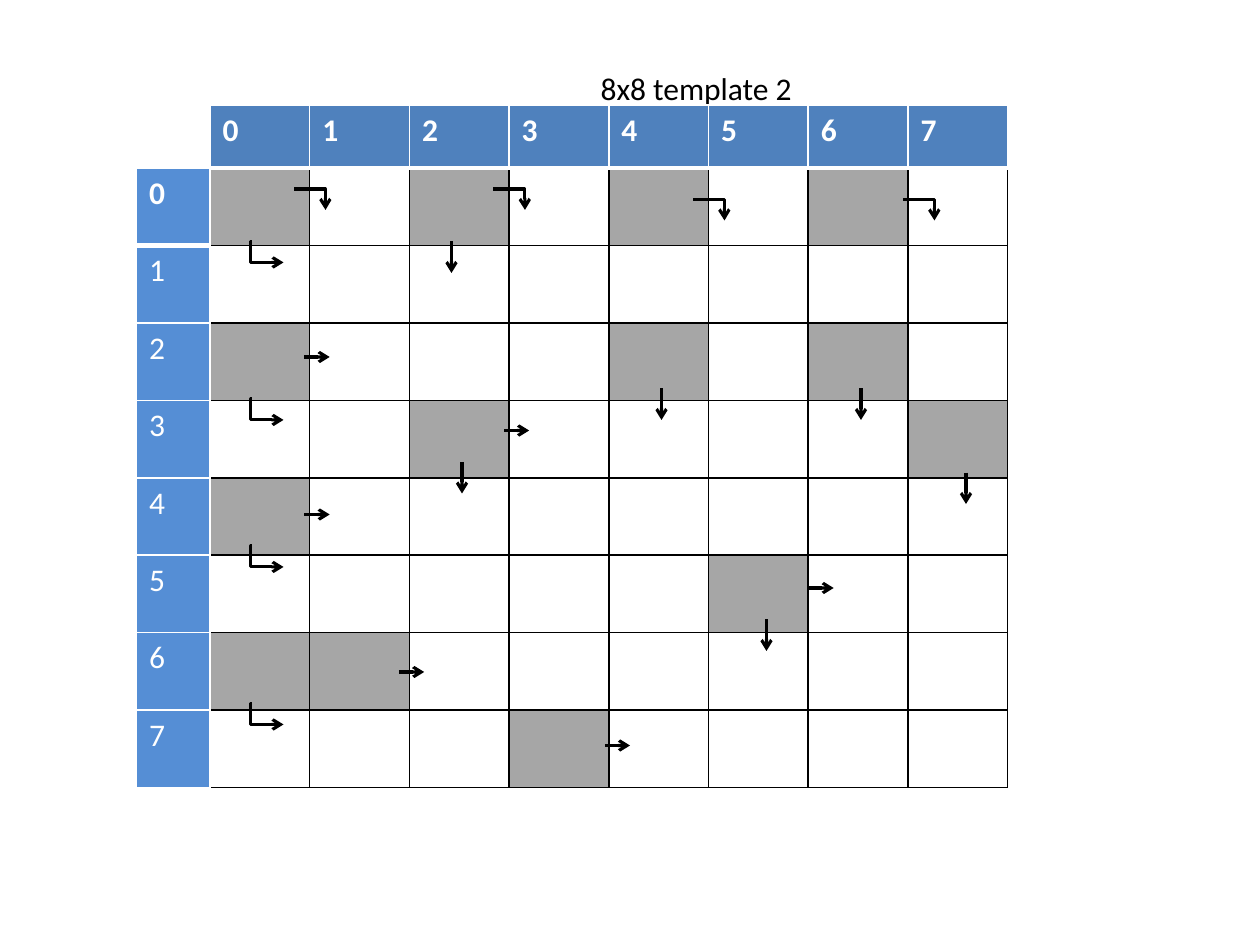
import dataclasses
import typing

import pptx
import pptx.dml.color
import pptx.enum.shapes
import pptx.enum.text
import pptx.oxml
import pptx.oxml.ns
import pptx.util

BLACK = pptx.dml.color.RGBColor(0x00, 0x00, 0x00)
WHITE = pptx.dml.color.RGBColor(0xFF, 0xFF, 0xFF)
GRAY = pptx.dml.color.RGBColor(0xA6, 0xA6, 0xA6)
NAVY = pptx.dml.color.RGBColor(0x4F, 0x81, 0xBD)
BLUE = pptx.dml.color.RGBColor(0x55, 0x8E, 0xD5)

FONT = {"name": "Calibri", "size": pptx.util.Pt(18)}
SIZE = 8
STEP = 2.54 / 12  # the layout grid, in cm

# Shaded (row, column) cells of the template
SHADED = {(0, 0), (0, 2), (0, 4), (0, 6), (2, 0), (2, 4), (2, 6), (3, 2),
          (3, 7), (4, 0), (5, 5), (6, 0), (6, 1), (7, 3)}


class Cell(typing.NamedTuple):
    """Text and fill of one table cell."""
    text: str
    fill: pptx.dml.color.RGBColor
    bold: bool = False


@dataclasses.dataclass(frozen=True)
class Grid:
    """A table: place in grid steps, cells, and border format."""
    left: float
    top: float
    width: float
    height: float
    cells: list[list[Cell]]
    edge: pptx.dml.color.RGBColor
    rule: int  # points under the first row


@dataclasses.dataclass(frozen=True)
class Arrow:
    """A kind of arrow: extent in grid steps, bend, and start points."""
    width: float
    height: float
    starts: list[tuple[float, float]]
    bend: int | None = None


def steps(count: float) -> pptx.util.Length:
    """Turn grid steps into a length."""
    return pptx.util.Cm(count * STEP)


def style(font: typing.Any, color: pptx.dml.color.RGBColor, **extra: typing.Any) -> None:
    """Apply the common font format, a colour and any extras."""
    for key, value in {**FONT, **extra}.items():
        setattr(font, key, value)
    font.color.rgb = color


def border(cell: typing.Any, side: str, color: pptx.dml.color.RGBColor, points: int) -> None:
    """Draw one border of a cell."""
    cell._tc.get_or_add_tcPr().append(pptx.oxml.parse_xml(
        f'<a:ln{side} {pptx.oxml.ns.nsdecls("a")} w="{pptx.util.Pt(points)}">'
        f'<a:solidFill><a:srgbClr val="{color}"/></a:solidFill></a:ln{side}>'))


def add_grid(slide: typing.Any, grid: Grid) -> None:
    """Draw a table with even rows and columns."""
    rows, cols = len(grid.cells), len(grid.cells[0])
    table = slide.shapes.add_table(rows, cols, *map(
        steps, (grid.left, grid.top, grid.width, grid.height))).table
    table.first_row = table.horz_banding = False
    for col in table.columns:
        col.width = steps(grid.width / cols)
    for row in table.rows:
        row.height = steps(grid.height / rows)
    for y, line in enumerate(grid.cells):
        over = grid.rule if y == 1 else 1
        under = grid.rule if y == 0 else 1
        for x, data in enumerate(line):
            cell = table.cell(y, x)
            for side, points in zip("LRTB", (1, 1, over, under)):
                border(cell, side, grid.edge, points)
            cell.fill.solid()
            cell.fill.fore_color.rgb = data.fill
            cell.text = data.text
            style(cell.text_frame.paragraphs[0].font, WHITE, bold=data.bold)


def add_arrows(slide: typing.Any, arrow: Arrow) -> None:
    """Draw all arrows of one kind."""
    kinds = pptx.enum.shapes.MSO_CONNECTOR
    kind = kinds.STRAIGHT if arrow.bend is None else kinds.ELBOW
    for x, y in arrow.starts:
        link = slide.shapes.add_connector(
            kind, steps(x), steps(y), steps(x + arrow.width), steps(y + arrow.height))
        link.line.color.rgb = BLACK
        link.line.width = pptx.util.Pt(1.75)
        space = pptx.oxml.ns.nsdecls("a")
        link.line._get_or_add_ln().append(
            pptx.oxml.parse_xml(f'<a:tailEnd {space} type="arrow"/>'))
        props = link._element.spPr
        props.append(pptx.oxml.parse_xml(f"<a:effectLst {space}/>"))
        if arrow.bend is not None:
            shape = props.find(pptx.oxml.ns.qn("a:prstGeom"))
            shape.get_or_add_avLst().append(pptx.oxml.parse_xml(
                f'<a:gd {space} name="adj1" fmla="val {arrow.bend}"/>'))


def add_title(slide: typing.Any, text: str) -> None:
    """Fill and place the title."""
    title = slide.shapes.title
    place = {"left": steps(56), "top": steps(6),
             "width": pptx.util.Cm(4.42), "height": pptx.util.Cm(1.02)}
    for key, value in place.items():
        setattr(title, key, value)
    frame = title.text_frame
    frame.text = text
    frame.word_wrap = False
    frame.auto_size = pptx.enum.text.MSO_AUTO_SIZE.SHAPE_TO_FIT_TEXT
    frame.vertical_anchor = pptx.enum.text.MSO_ANCHOR.TOP
    frame.paragraphs[0].alignment = pptx.enum.text.PP_ALIGN.LEFT
    style(frame.paragraphs[0].runs[0].font, BLACK)


BOARD = [[Cell("", GRAY if (y, x) in SHADED else WHITE) for x in range(SIZE)]
         for y in range(SIZE)]
HEAD = [[Cell(str(x), NAVY, True) for x in range(SIZE)]]
SIDE = [[Cell(str(y), BLUE, y == 0)] for y in range(SIZE)]

GRIDS = [
    Grid(20, 16, 76, 59, BOARD, BLACK, 1),
    Grid(20, 10, 76, 6, HEAD, WHITE, 3),
    Grid(13, 16, 7, 59, SIDE, WHITE, 3),
]

ARROWS = [
    # down, then right
    Arrow(3, 2, [(24, 23), (24, 38), (24, 52), (24, 67)], -3900),
    # right, then down
    Arrow(3, 2, [(28, 18), (47, 18), (66, 19), (86, 19)], 99400),
    # right
    Arrow(2.4, 0, [(29, 34), (48, 41), (29, 49), (77, 56), (38, 64), (57.6, 71)]),
    # down
    Arrow(0, 3, [(43, 23), (63, 37), (82, 37), (44, 44), (92, 45), (73, 59)]),
]


def main() -> None:
    """Build and save the slide."""
    deck = pptx.Presentation()
    deck.slide_width, deck.slide_height = steps(120), steps(90)
    slide = deck.slides.add_slide(deck.slide_layouts[5])
    add_title(slide, "8x8 template 2")
    for grid in GRIDS:
        add_grid(slide, grid)
    for arrow in ARROWS:
        add_arrows(slide, arrow)
    deck.save("out.pptx")


main()
